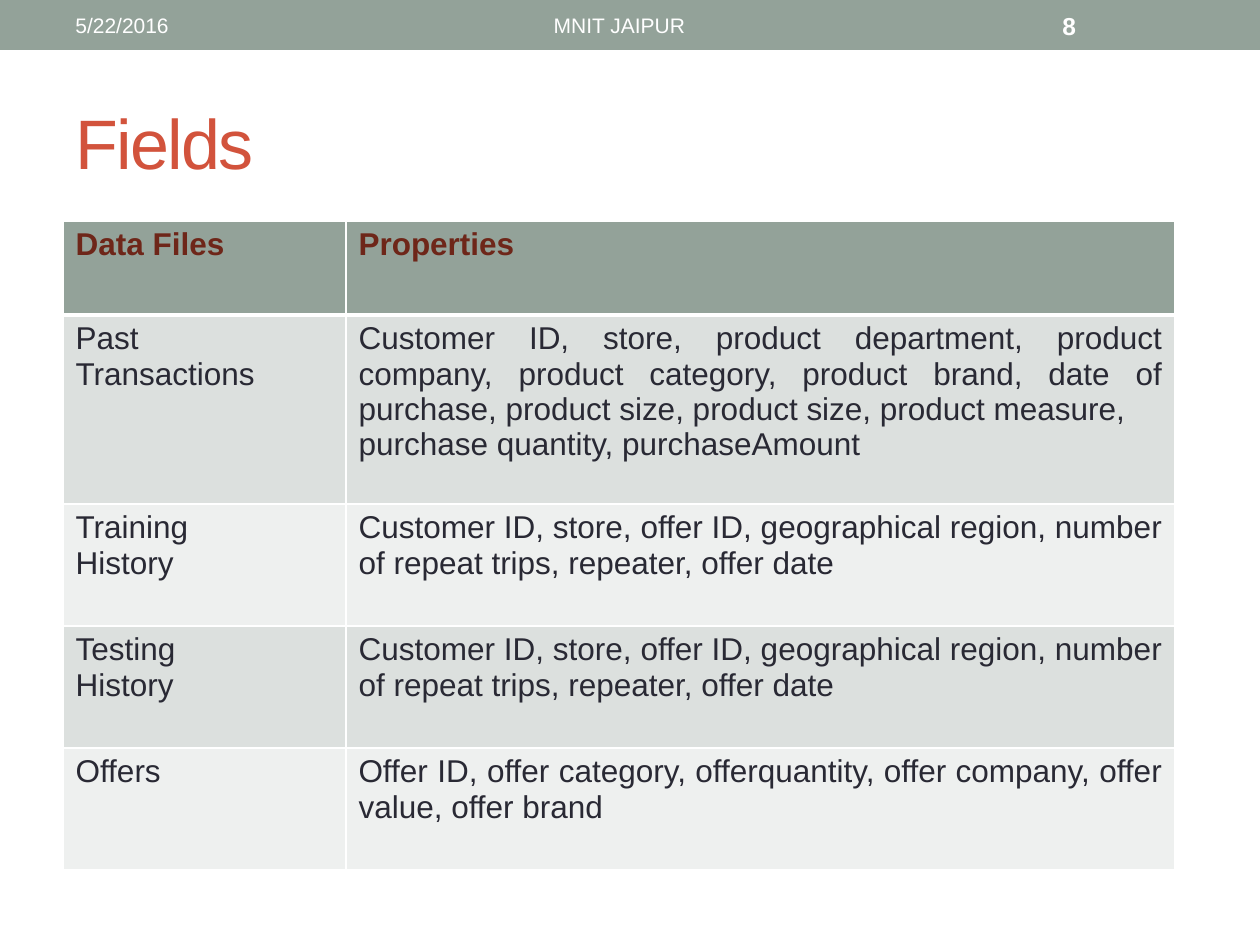
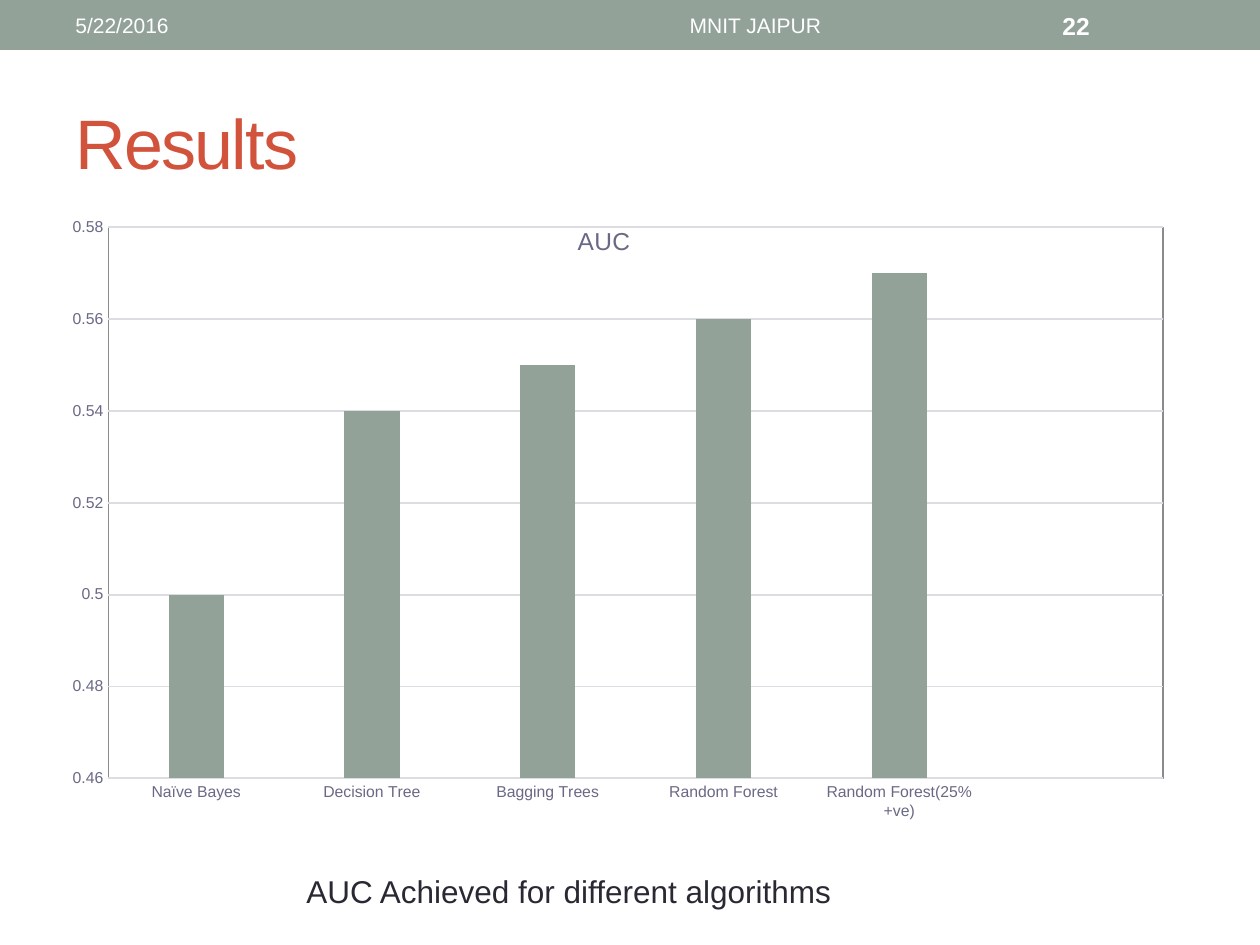
from dataclasses import dataclass

from lxml import etree
from pptx import Presentation
from pptx.chart.data import CategoryChartData
from pptx.dml.color import RGBColor
from pptx.enum.chart import XL_CHART_TYPE as ChartType, XL_TICK_MARK as TickMark
from pptx.enum.shapes import MSO_SHAPE as Shape
from pptx.enum.text import MSO_ANCHOR as Anchor, PP_ALIGN as Align
from pptx.oxml import parse_xml
from pptx.oxml.ns import nsdecls, qn
from pptx.util import Pt

EMU_PER_PIXEL = 914400 / 126


@dataclass(frozen=True)
class Theme:
    """Colours and type sizes of the whole deck."""
    font: str = "Arial"
    white: str = "FFFFFF"
    sage: str = "93A299"
    red: str = "D2533C"
    dark_red: str = "6E2619"
    ink: str = "292934"
    axis_text: str = "696986"
    grid: str = "DCDCE3"
    frame: str = "8B8B8B"
    row_fills: tuple = ("DCE0DE", "EEF0EF")
    title_size: int = 40
    body_size: int = 18
    number_size: int = 14
    band_size: int = 12
    axis_size: int = 9


THEME = Theme()

FIELDS = [
    ("Data Files", "Properties"),
    ("Past\nTransactions",
     "Customer ID, store, product department, product company, product category, "
     "product brand, date of purchase, product size, product size, product measure,\n"
     "purchase quantity, purchaseAmount"),
    ("Training\nHistory",
     "Customer ID, store, offer ID, geographical region, number of repeat trips, "
     "repeater, offer date"),
    ("Testing\nHistory",
     "Customer ID, store, offer ID, geographical region, number of repeat trips, "
     "repeater, offer date"),
    ("Offers",
     "Offer ID, offer category, offerquantity, offer company, offer value, offer brand"),
]
COLUMN_WIDTHS = (283, 829)
ROW_HEIGHTS = (94, 189, 122, 122, 122)

AUC_SCORES = [
    ("Naïve Bayes", 0.5),
    ("Decision Tree", 0.54),
    ("Bagging Trees", 0.55),
    ("Random Forest", 0.56),
    ("Random Forest(25% +ve)", 0.57),
    ("", None),
]


def px(*lengths):
    """Turn picture pixels into a list of EMU lengths."""
    return [round(length * EMU_PER_PIXEL) for length in lengths]


def style_font(font, size, color, bold=False):
    """Set the deck font with a size, colour and weight."""
    font.name = THEME.font
    font.size = Pt(size)
    font.bold = bold
    font.color.rgb = RGBColor.from_string(color)


def paint(fill, color):
    """Give a fill one solid colour."""
    fill.solid()
    fill.fore_color.rgb = RGBColor.from_string(color)


def style_line(line, color, width):
    """Give a line a colour and a width in points."""
    paint(line.fill, color)
    line.width = Pt(width)


def add_text(slide, box, text, size, color, bold=False, align=Align.LEFT,
             anchor=Anchor.MIDDLE):
    """Add a wrapping one-paragraph text box and return its paragraph."""
    frame = slide.shapes.add_textbox(*px(*box)).text_frame
    frame.word_wrap = True
    frame.vertical_anchor = anchor
    paragraph = frame.paragraphs[0]
    paragraph.text = text
    paragraph.alignment = align
    style_font(paragraph.font, size, color, bold)
    return paragraph


def add_titled_slide(deck, title, number, venue_left):
    """Add a slide with the top band, its three entries and the title."""
    slide = deck.slides.add_slide(deck.slide_layouts[6])
    band = slide.shapes.add_shape(Shape.RECTANGLE, *px(0, 0, 1260, 50))
    band.shadow.inherit = False
    paint(band.fill, THEME.sage)
    band.line.fill.background()

    heading = add_text(slide, (63, 73, 1134, 136), title, THEME.title_size, THEME.red)
    heading.runs[0].font._element.set("spc", "-100")
    add_text(slide, (63, 3, 399, 45), "5/22/2016", THEME.band_size, THEME.white)
    add_text(slide, (venue_left, 3, 567, 45), "MNIT JAIPUR", THEME.band_size,
             THEME.white, align=Align.CENTER)
    add_text(slide, (1050, 3, 147, 45), str(number), THEME.number_size,
             THEME.white, bold=True)
    return slide


def add_cell_borders(cell, top, bottom):
    """Draw white cell borders; top and bottom widths are in points."""
    properties = cell._tc.get_or_add_tcPr()
    sides = (("lnL", 1), ("lnR", 1), ("lnT", top), ("lnB", bottom))
    for position, (side, width) in enumerate(sides):
        border = etree.Element(qn(f"a:{side}"), w=str(Pt(width)))
        solid = etree.SubElement(border, qn("a:solidFill"))
        etree.SubElement(solid, qn("a:srgbClr"), val=THEME.white)
        properties.insert(position, border)


def fill_cell(cell, text, row, column):
    """Write and style one cell according to its row and column."""
    header = row == 0
    paint(cell.fill, THEME.sage if header else THEME.row_fills[(row - 1) % 2])
    add_cell_borders(cell, top=3 if row == 1 else 1, bottom=3 if header else 1)
    cell.text_frame.text = text
    for paragraph in cell.text_frame.paragraphs:
        style_font(paragraph.font, THEME.body_size,
                   THEME.dark_red if header else THEME.ink, bold=header)
        if column == 1 and not header:
            paragraph.alignment = Align.JUSTIFY


def add_fields_table(slide):
    """Add the table of data files and their properties."""
    box = px(63, 221, sum(COLUMN_WIDTHS), sum(ROW_HEIGHTS))
    table = slide.shapes.add_table(len(FIELDS), len(COLUMN_WIDTHS), *box).table
    for column, width in zip(table.columns, px(*COLUMN_WIDTHS)):
        column.width = width
    for row, height in zip(table.rows, px(*ROW_HEIGHTS)):
        row.height = height
    for row, entries in enumerate(FIELDS):
        for column, text in enumerate(entries):
            fill_cell(table.cell(row, column), text, row, column)


def manual_layout(x, y, width=None, height=None):
    """Build a chart layout element from fractions of the chart area."""
    parts = [("xMode", "edge"), ("yMode", "edge"), ("x", x), ("y", y)]
    if width is not None:
        parts = [("layoutTarget", "inner")] + parts + [("w", width), ("h", height)]
    layout = etree.Element(qn("c:layout"))
    manual = etree.SubElement(layout, qn("c:manualLayout"))
    for name, value in parts:
        etree.SubElement(manual, qn(f"c:{name}"), val=str(value))
    return layout


def place_plot(chart):
    """Fix the plot area and frame it with a thin line."""
    plot_area = chart._chartSpace.chart.plotArea
    for layout in plot_area.findall(qn("c:layout")):
        plot_area.remove(layout)
    plot_area.insert(0, manual_layout(0.04, 0.02, 0.93, 0.82))
    plot_area.append(parse_xml(
        f'<c:spPr {nsdecls("c", "a")}><a:noFill/><a:ln w="{Pt(0.75)}"><a:solidFill>'
        f'<a:srgbClr val="{THEME.frame}"/></a:solidFill></a:ln></c:spPr>'))


def add_chart_title(chart, text):
    """Lay the chart title over the top of the plot."""
    title = chart.chart_title
    title.text_frame.text = text
    style_font(title.text_frame.paragraphs[0].font, THEME.number_size, THEME.axis_text)
    title.include_in_layout = False
    element = title._element
    for name in ("layout", "overlay"):
        for old in element.findall(qn(f"c:{name}")):
            element.remove(old)
    overlay = etree.Element(qn("c:overlay"), val="1")
    element.find(qn("c:tx")).addnext(overlay)
    overlay.addprevious(manual_layout(0.45, 0.01))


def add_auc_chart(slide):
    """Add the column chart of AUC by algorithm."""
    scores = CategoryChartData(number_format="General")
    scores.categories = [algorithm for algorithm, _ in AUC_SCORES]
    scores.add_series("Series 1", [score for _, score in AUC_SCORES])
    chart = slide.shapes.add_chart(ChartType.COLUMN_CLUSTERED,
                                   *px(63, 214, 1134, 672), scores).chart
    style_font(chart.font, 10, THEME.ink)
    chart.has_legend = False
    add_chart_title(chart, "AUC")

    columns = chart.plots[0]
    columns.vary_by_categories = False
    columns.gap_width = 219
    columns.overlap = -27
    paint(columns.series[0].format.fill, THEME.sage)

    algorithm_axis, auc_axis = chart.category_axis, chart.value_axis
    for axis in (algorithm_axis, auc_axis):
        axis.major_tick_mark = axis.minor_tick_mark = TickMark.NONE
        style_font(axis.tick_labels.font, THEME.axis_size, THEME.axis_text)
    style_line(algorithm_axis.format.line, THEME.grid, 0.75)
    auc_axis.format.line.fill.background()
    auc_axis.minimum_scale, auc_axis.maximum_scale = 0.46, 0.58
    auc_axis.major_unit = 0.02
    style_line(auc_axis.major_gridlines.format.line, THEME.grid, 1)
    place_plot(chart)


def main():
    """Build both slides and save the deck."""
    deck = Presentation()
    deck.slide_width, deck.slide_height = px(1260, 945)

    fields = add_titled_slide(deck, "Fields", 8, venue_left=336)
    add_fields_table(fields)

    results = add_titled_slide(deck, "Results", 22, venue_left=472)
    add_auc_chart(results)
    add_text(results, (294, 866, 672, 50), "AUC Achieved for different algorithms",
             THEME.body_size, THEME.ink, anchor=Anchor.TOP)

    deck.save("out.pptx")


main()
